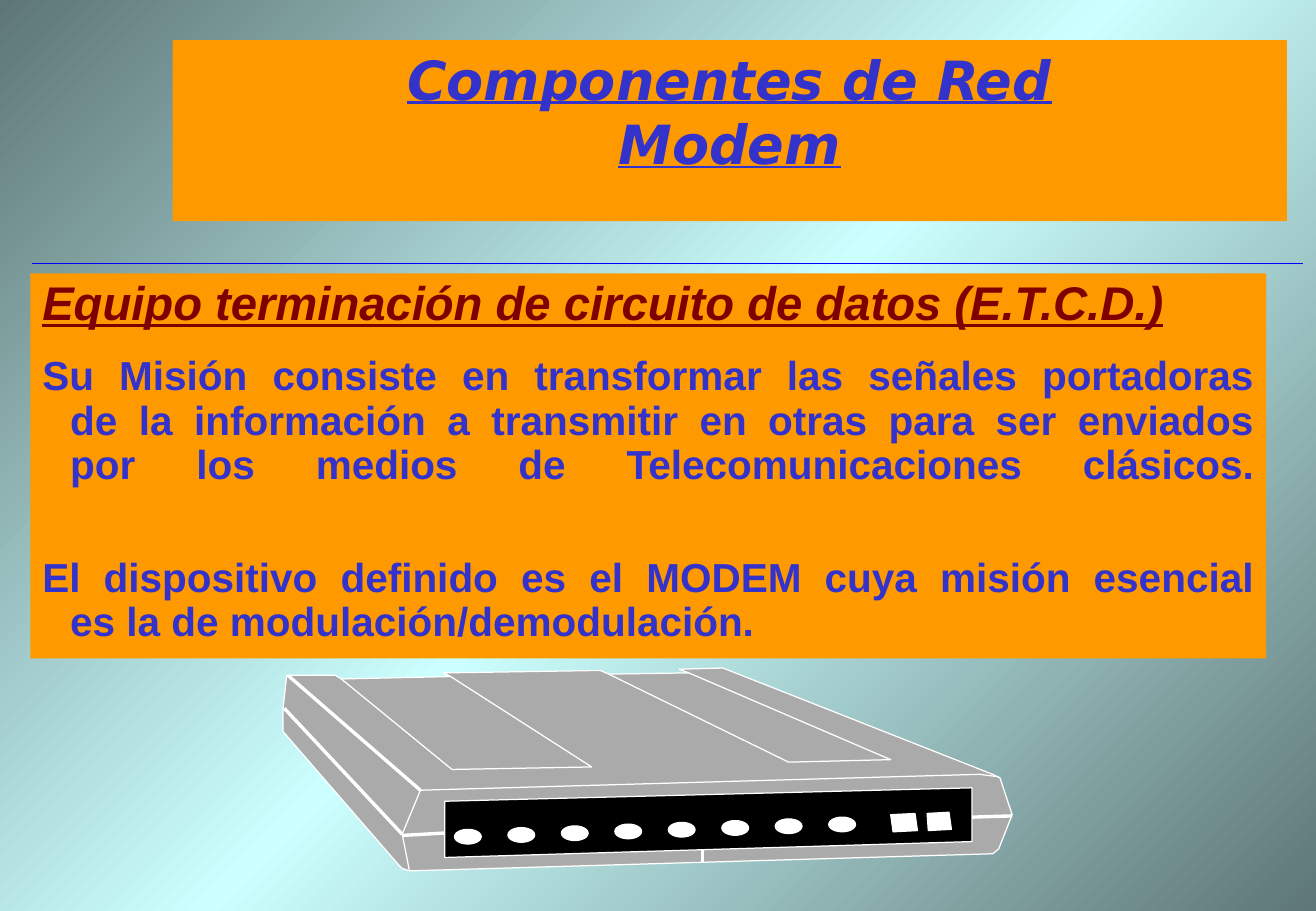
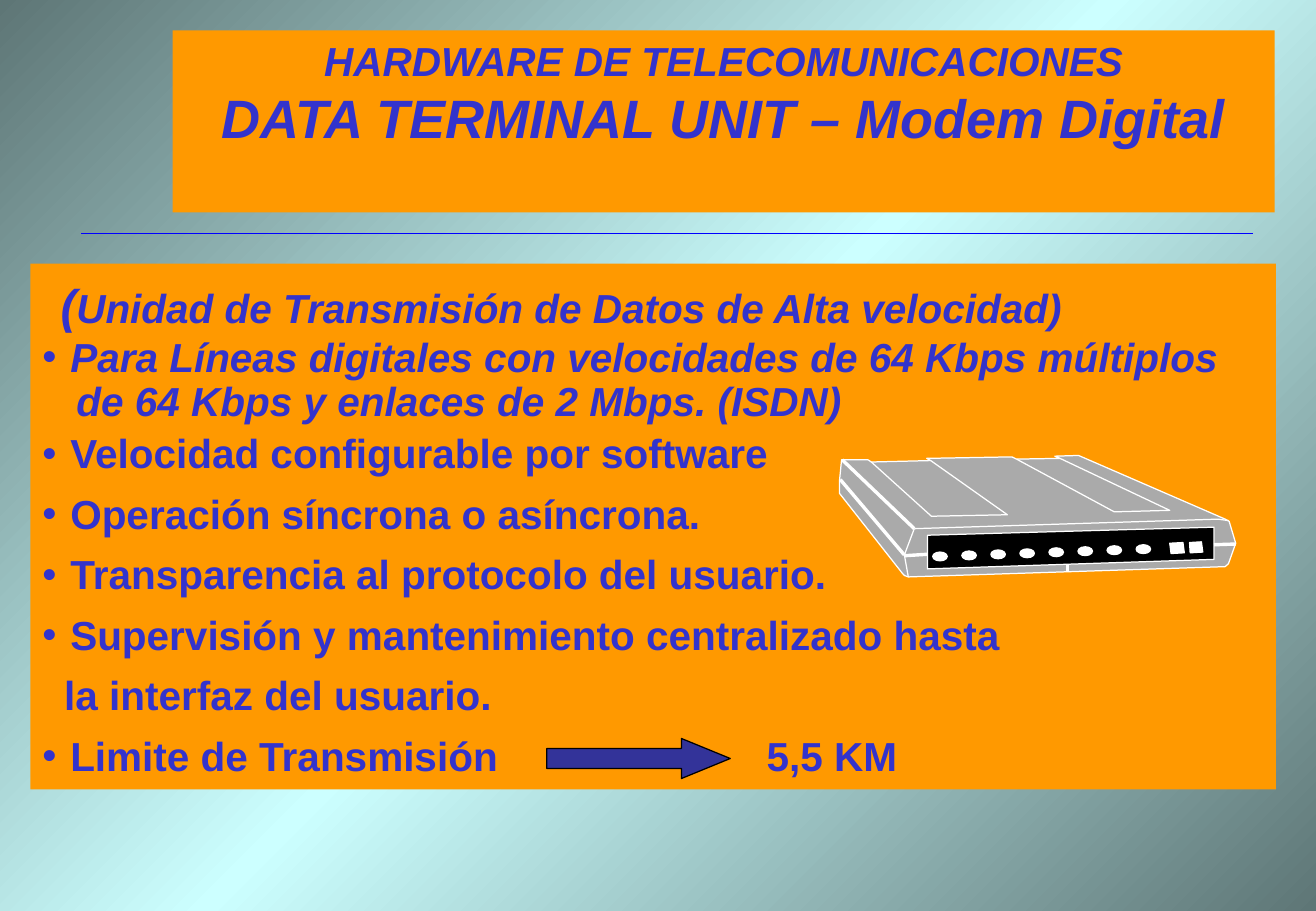
from copy import deepcopy

from lxml.etree import SubElement
from pptx import Presentation
from pptx.dml.color import RGBColor
from pptx.enum.shapes import MSO_CONNECTOR, MSO_SHAPE
from pptx.enum.text import MSO_ANCHOR, PP_ALIGN as AL
from pptx.oxml.ns import qn
from pptx.util import Inches, Pt

ORANGE, BLUE, MAROON = "FF9900", "3333CC", "800000"
RULE, GREY, WHITE, BLACK = "0000FF", "AAAAAA", "FFFFFF", "000000"
BACKGROUND = [(0, "5E7676"), (50, "CCFFFF"), (100, "5E7676")]
HANG = 0.23

# Modem drawing, in inches
CASE = [(8.17, 7.02), (3.37, 7.16), (3.31, 7.14), (3.28, 7.11), (2.33, 6.02),
        (2.33, 5.83), (2.36, 5.56), (2.76, 5.56), (2.81, 5.59), (3.71, 5.57),
        (3.65, 5.54), (4.94, 5.52), (5.01, 5.55), (5.67, 5.54), (5.59, 5.51),
        (5.95, 5.5), (8.17, 6.37), (8.23, 6.4), (8.33, 6.7), (8.22, 6.98)]
FRONT = [(3.66, 6.59), (8, 6.48), (8, 6.92), (3.66, 7.05)]
EDGES = [
    [(2.34, 5.83), (3.31, 6.86)],
    [(2.37, 5.56), (3.46, 6.5)],
    [(2.81, 5.59), (3.72, 6.33), (4.87, 6.31), (3.71, 5.57)],
    [(5.01, 5.55), (6.49, 6.27), (7.33, 6.25), (5.67, 5.54)],
    [(3.46, 6.5), (3.31, 6.86), (3.37, 7.16)],
    [(3.31, 6.87), (3.66, 6.85)],
    [(8, 6.72), (8.33, 6.71)],
    [(3.46, 6.5), (8.06, 6.37), (8.22, 6.39)],
    [(5.78, 6.98), (5.78, 7.09)],
]
BUTTONS = [
    [(7.35, 6.84), (7.33, 6.7), (7.53, 6.69), (7.55, 6.83)],
    [(7.64, 6.83), (7.63, 6.69), (7.81, 6.68), (7.83, 6.82)],
]


def rgb(color):
    return RGBColor.from_string(color)


def inches(values):
    return [Inches(v) for v in values]


def paint(sp, fill=None, line=None, width=0):
    sp.shadow.inherit = False
    if fill:
        sp.fill.solid()
        sp.fill.fore_color.rgb = rgb(fill)
    else:
        sp.fill.background()
    if line:
        sp.line.color.rgb = rgb(line)
        sp.line.width = Pt(width)
    else:
        sp.line.fill.background()
    return sp


def add_preset(shapes, kind, box, **style):
    return paint(shapes.add_shape(kind, *inches(box)), **style)


def add_line(shapes, start, end, color, width=0):
    ln = shapes.add_connector(MSO_CONNECTOR.STRAIGHT, *inches(start + end))
    ln.line.color.rgb = rgb(color)
    ln.line.width = Pt(width)
    SubElement(ln._element.spPr, qn("a:effectLst"))


def add_outline(shapes, points, close=True, **style):
    start, *rest = [inches(pt) for pt in points]
    builder = shapes.build_freeform(*start)
    builder.add_line_segments(rest, close=close)
    return paint(builder.convert_to_shape(), **style)


def add_run(p, text, size, color=BLUE, font="Arial", italic=False, underline=False):
    """Add formatted text; each newline becomes a line break of the same size."""
    for i, part in enumerate(text.split("\n")):
        if i:
            p.add_line_break()
            p._p[-1].append(deepcopy(r._r.rPr))
        if part:
            r = p.add_run()
            r.text = part
            f = r.font
            f.size, f.name, f.bold = Pt(size), font, True
            f.italic, f.underline = italic, underline
            f.color.rgb = rgb(color)


def add_paragraph(p, runs, align=AL.LEFT, left=0, first=0, spacing=1.0,
                  before=0, after=0, bullet=False, tab=None):
    pPr = p._p.get_or_add_pPr()
    pPr.set("marL", str(Inches(left)))
    pPr.set("indent", str(Inches(first)))
    if bullet:
        SubElement(pPr, qn("a:buFont"), typeface="Arial")
        SubElement(pPr, qn("a:buChar"), char="•")
    else:
        SubElement(pPr, qn("a:buNone"))
    if tab:
        tabs = SubElement(pPr, qn("a:tabLst"))
        SubElement(tabs, qn("a:tab"), pos=str(Inches(tab)), algn="l")
    p.alignment, p.line_spacing = align, spacing
    p.space_before, p.space_after = Pt(before), Pt(after)
    for text, style in runs:
        add_run(p, text, **style)
    SubElement(p._p, qn("a:endParaRPr"), sz=str(style["size"] * 100))


def add_panel(slide, box, paragraphs, top=0.05):
    """Orange box; paragraphs are (runs, paragraph format) pairs."""
    sp = add_preset(slide.shapes, MSO_SHAPE.RECTANGLE, box, fill=ORANGE)
    tf = sp.text_frame
    tf.word_wrap, tf.vertical_anchor = True, MSO_ANCHOR.TOP
    tf.margin_top = Inches(top)
    for i, (runs, style) in enumerate(paragraphs):
        p = tf.add_paragraph() if i else tf.paragraphs[0]
        add_paragraph(p, runs, **style)


def add_modem(slide, box):
    """Draw the modem as a group, then fit the group to the box."""
    group = slide.shapes.add_group_shape()
    shapes = group.shapes
    add_outline(shapes, CASE, fill=GREY, line=WHITE)
    add_outline(shapes, FRONT, fill=BLACK, line=WHITE)
    for edge in EDGES:
        if len(edge) == 2:
            add_line(shapes, *edge, WHITE)
        else:
            add_outline(shapes, edge, close=False, line=WHITE)
    for i in range(8):
        light = (3.74 + 0.44 * i, 6.82 - 0.1 * i / 7, 0.22, 0.12)
        add_preset(shapes, MSO_SHAPE.OVAL, light, fill=WHITE, line=WHITE)
    for button in BUTTONS:
        add_outline(shapes, button, fill=WHITE, line=WHITE)
    group.left, group.top, group.width, group.height = inches(box)


def set_background(master):
    fill = master.background.fill
    fill.gradient()
    fill.gradient_angle = 315
    stops = master.element.find(".//" + qn("a:gsLst"))
    for gs in list(stops):
        stops.remove(gs)
    for pos, color in BACKGROUND:
        gs = SubElement(stops, qn("a:gs"), pos=str(pos * 1000))
        SubElement(gs, qn("a:srgbClr"), val=color)


def build_modem_slide(slide):
    title = dict(size=32, font="DejaVu Sans", italic=True, underline=True)
    add_panel(slide, (1.42, 0.33, 9.17, 1.49),
              [([("Componentes de Red\nModem", title)], dict(align=AL.CENTER))])
    add_line(slide.shapes, (0.26, 2.17), (10.72, 2.17), RULE, 0.05)

    heading = dict(size=28, color=MAROON, italic=True, underline=True)
    body = dict(size=24)
    first = dict(align=AL.JUSTIFY, left=HANG, first=-HANG, spacing=0.91)
    later = dict(first, before=14.6)
    add_panel(slide, (0.25, 2.25, 10.17, 3.17), [
        ([("Equipo terminación de circuito de datos (E.T.C.D.)", heading)], first),
        ([("Su Misión consiste en transformar las señales portadoras\n"
           "de la información a transmitir en otras para ser enviados\n"
           "por los medios de Telecomunicaciones clásicos.\n", body)], later),
        ([("El dispositivo definido es el MODEM cuya misión esencial\n"
           "es la de modulación/demodulación.", body)], later),
    ])
    add_modem(slide, (2.33, 5.5, 6, 1.67))


def build_digital_modem_slide(slide):
    italic, plain = dict(size=24, italic=True), dict(size=24)
    add_panel(slide, (1.42, 0.25, 9.07, 1.5), [
        ([("HARDWARE DE TELECOMUNICACIONES\n", italic),
          ("DATA TERMINAL UNIT – Modem Digital", dict(italic, size=32))],
         dict(align=AL.CENTER))])
    add_line(slide.shapes, (0.67, 1.92), (10.31, 1.92), RULE, 0.05)

    tight = dict(spacing=0.91)
    loose = dict(spacing=0.9, before=5, after=5)
    bullet = dict(left=HANG, first=-HANG, bullet=True)
    item = dict(loose, **bullet)
    add_panel(slide, (0.25, 2.17, 10.25, 4.33), [
        ([("(", dict(italic, size=28)),
          ("Unidad de Transmisión de Datos de Alta velocidad)", italic)],
         dict(tight, left=0.15, after=2)),
        ([("Para Líneas digitales con velocidades de 64 Kbps múltiplos", italic)],
         dict(tight, **bullet)),
        ([("de 64 Kbps y enlaces de 2 Mbps. (ISDN)", italic)],
         dict(tight, left=0.28)),
        ([("Velocidad configurable por software", plain)], item),
        ([("Operación síncrona o asíncrona.", plain)], item),
        ([("Transparencia al protocolo del usuario.", plain)], item),
        ([("Supervisión y mantenimiento centralizado hasta", plain)], item),
        ([("la interfaz del usuario.", plain)], dict(loose, left=0.18)),
        ([("Limite de Transmisión\t5,5 KM", plain)], dict(item, tab=5.96)),
    ], top=0.15)
    add_modem(slide, (6.91, 3.75, 3.26, 1))
    arrow = add_preset(slide.shapes, MSO_SHAPE.RIGHT_ARROW, (4.5, 6.08, 1.51, 0.33),
                       fill="333399", line=BLACK, width=0.75)
    arrow.adjustments[0], arrow.adjustments[1] = 0.5, 1.219


def main():
    prs = Presentation()
    prs.slide_width, prs.slide_height = inches((10.83, 7.5))
    set_background(prs.slide_master)
    for build in (build_modem_slide, build_digital_modem_slide):
        build(prs.slides.add_slide(prs.slide_layouts[6]))
    prs.save("out.pptx")


if __name__ == "__main__":
    main()
